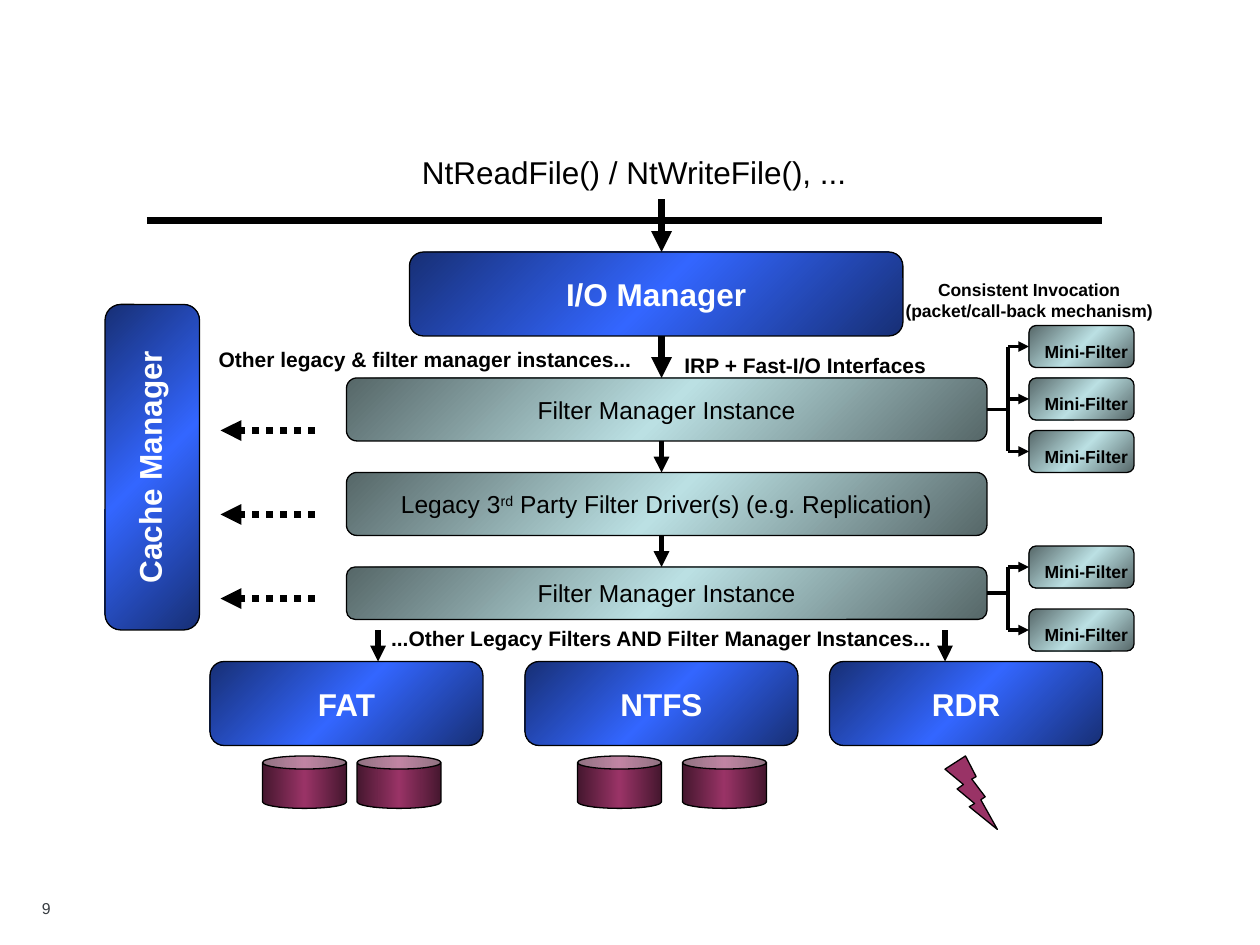
from copy import deepcopy

from lxml.etree import SubElement
from pptx import Presentation
from pptx.dml.color import RGBColor
from pptx.enum.dml import MSO_LINE
from pptx.enum.shapes import MSO_CONNECTOR, MSO_SHAPE
from pptx.enum.text import MSO_ANCHOR, PP_ALIGN
from pptx.oxml.ns import qn
from pptx.util import Cm, Pt

BLACK = RGBColor(0x00, 0x00, 0x00)
WHITE = RGBColor(0xFF, 0xFF, 0xFF)
GREY = RGBColor(0x38, 0x3D, 0x42)
NAVY, BLUE = RGBColor(0x17, 0x2F, 0x75), RGBColor(0x33, 0x66, 0xFF)
SLATE, TEAL = RGBColor(0x56, 0x67, 0x68), RGBColor(0xBB, 0xE0, 0xE3)
WINE, PLUM = RGBColor(0x46, 0x17, 0x2F), RGBColor(0x99, 0x33, 0x66)

SYSTEM = {"size": Pt(18), "bold": True, "color": WHITE}
FILTER = {"size": Pt(14), "bold": False, "color": BLACK}
MINI = {"size": Pt(10), "bold": True, "color": BLACK}
CAPTION = {"size": Pt(12), "bold": True, "color": BLACK}
HEADING = {"size": Pt(18), "bold": False, "color": BLACK}
NUMBER = {"size": Pt(9), "bold": False, "color": GREY}

LEFT_SIDE, RIGHT_SIDE = 1, 3


def grid(steps):
    """Length of a number of grid steps, twelve to the inch."""
    return Cm(steps * 2.54 / 12)


class Diagram:
    """Draws on one slide; every place and size is in grid steps."""

    font_name = "Arial"
    outline = Pt(0.75)

    def __init__(self, slide):
        self.shapes = slide.shapes

    def set_text(self, frame, runs, style, align):
        """Fill a frame with one paragraph; runs are (text, is_superscript)."""
        frame.word_wrap = True
        paragraph = frame.paragraphs[0]
        paragraph.alignment = align
        for text, superscript in runs:
            run = paragraph.add_run()
            run.text = text
            run.font.name = self.font_name
            for key, value in style.items():
                if key == "color":
                    run.font.color.rgb = value
                else:
                    setattr(run.font, key, value)
            if superscript:
                run.font._element.set("baseline", "30000")

    def label(self, text, place, style, align=PP_ALIGN.CENTER, anchor=MSO_ANCHOR.TOP):
        frame = self.shapes.add_textbox(*map(grid, place)).text_frame
        frame.vertical_anchor = anchor
        self.set_text(frame, [(text, False)], style, align)

    def solid(self, kind, place, color):
        shape = self.shapes.add_shape(kind, *map(grid, place))
        shape.shadow.inherit = False
        shape.fill.solid()
        shape.fill.fore_color.rgb = color
        shape.line.color.rgb = BLACK
        shape.line.width = self.outline
        return shape

    def shaded(self, kind, place, edge, middle, angle):
        """Shape with a gradient from edge colour to middle colour and back."""
        shape = self.solid(kind, place, middle)
        shape.fill.gradient()
        shape.fill.gradient_angle = angle
        stop_list = shape._element.spPr.find(".//" + qn("a:gsLst"))
        stop_list.insert(1, deepcopy(stop_list[0]))
        stops = zip(shape.fill.gradient_stops, (0, 0.5, 1), (edge, middle, edge))
        for stop, position, color in stops:
            stop.position = position
            stop.color.rgb = color
        return shape

    def box(self, runs, place, colors, style, vertical=False):
        shape = self.shaded(MSO_SHAPE.ROUNDED_RECTANGLE, place, *colors, 135)
        frame = shape.text_frame
        frame.vertical_anchor = MSO_ANCHOR.MIDDLE
        for side in ("left", "right", "top", "bottom"):
            setattr(frame, f"margin_{side}", 0)
        if vertical:
            frame._txBody.bodyPr.set("vert", "vert270")
        self.set_text(frame, runs, style, PP_ALIGN.CENTER)
        return shape

    def line(self, start, end, width, arrow=True, dash=None):
        connector = self.shapes.add_connector(
            MSO_CONNECTOR.STRAIGHT, *map(grid, (*start, *end)))
        connector.line.color.rgb = BLACK
        connector.line.width = Pt(width)
        if dash:
            connector.line.dash_style = dash
        if arrow:
            SubElement(connector.line._get_or_add_ln(), qn("a:tailEnd"), type="triangle")
        SubElement(connector._element.spPr, qn("a:effectLst"))
        return connector

    def mini_filters(self, instance, instance_middle, tops):
        """Mini-filters at the given tops, branching from a filter instance."""
        trunk, left, height = 96, 98, 4
        middles = [top + height / 2 for top in tops]
        stub = self.line((94, instance_middle), (trunk, instance_middle), 2, arrow=False)
        stub.begin_connect(instance, RIGHT_SIDE)
        self.line((trunk, middles[0]), (trunk, middles[-1]), 2, arrow=False)
        for top, middle in zip(tops, middles):
            mini = self.box([("Mini-Filter", False)], (left, top, 10, height),
                            (SLATE, TEAL), MINI)
            mini.text_frame.margin_left = grid(0.9)
            mini.text_frame.margin_top = grid(0.9)
            branch = self.line((trunk, middle), (left, middle), 2)
            branch.end_connect(mini, LEFT_SIDE)


def main():
    presentation = Presentation()
    presentation.slide_width, presentation.slide_height = grid(120), grid(90)
    blank_layout = presentation.slide_layouts[6]
    diagram = Diagram(presentation.slides.add_slide(blank_layout))

    diagram.line((14, 21), (105, 21), 4, arrow=False)
    diagram.label("NtReadFile() / NtWriteFile(), ...", (39, 14, 55, 4.8),
                  HEADING, PP_ALIGN.LEFT)

    systems = [
        ("I/O Manager", (39, 24, 47, 8)),
        ("FAT", (20, 63, 26, 8)),
        ("NTFS", (50, 63, 26, 8)),
        ("RDR", (79, 63, 26, 8)),
    ]
    for name, place in systems:
        diagram.box([(name, False)], place, (NAVY, BLUE), SYSTEM)
    cache_manager = diagram.box([("Cache Manager", False)], (10, 29, 9, 31),
                                (NAVY, BLUE), SYSTEM, vertical=True)
    cache_manager.text_frame.margin_right = grid(1.2)

    instance_runs = [("Filter Manager Instance", False)]
    legacy_runs = [("Legacy 3", False), ("rd", True),
                   (" Party Filter Driver(s) (e.g. Replication)", False)]
    filter_stack = [(instance_runs, 36, 6), (legacy_runs, 45, 6), (instance_runs, 54, 5)]
    upper_instance, _, lower_instance = [
        diagram.box(runs, (33, top, 61, height), (SLATE, TEAL), FILTER)
        for runs, top, height in filter_stack]

    for x, top, bottom, width in [(63, 19, 24, 4), (63, 32, 36, 4), (63, 42, 45, 3),
                                  (63, 51, 54, 3), (36, 60, 63, 3), (90, 60, 63, 3)]:
        diagram.line((x, top), (x, bottom), width)
    for y in (41, 49, 57):
        diagram.line((30, y), (21, y), 4, dash=MSO_LINE.ROUND_DOT)

    diagram.mini_filters(upper_instance, 39, (31, 36, 41))
    diagram.mini_filters(lower_instance, 56.5, (52, 58))

    for left in (25, 34, 55, 65):
        diagram.shaded(MSO_SHAPE.CAN, (left, 72, 8, 5), WINE, PLUM, 180)
    diagram.solid(MSO_SHAPE.LIGHTNING_BOLT, (90, 72, 5, 7), PLUM)

    diagram.label("Other legacy & filter manager instances...",
                  (19, 32.4, 43, 3.6), CAPTION)
    diagram.label("IRP + Fast-I/O Interfaces", (64, 33, 33, 3.6), CAPTION, PP_ALIGN.LEFT)
    diagram.label("...Other Legacy Filters AND Filter Manager Instances...",
                  (33, 59, 60, 3.6), CAPTION)
    diagram.label("Consistent Invocation (packet/call-back mechanism)",
                  (84, 26, 28, 5.3), MINI)
    diagram.label("9", (2.8, 84, 10.2, 5), NUMBER, PP_ALIGN.LEFT, MSO_ANCHOR.MIDDLE)

    presentation.save("out.pptx")


if __name__ == "__main__":
    main()
